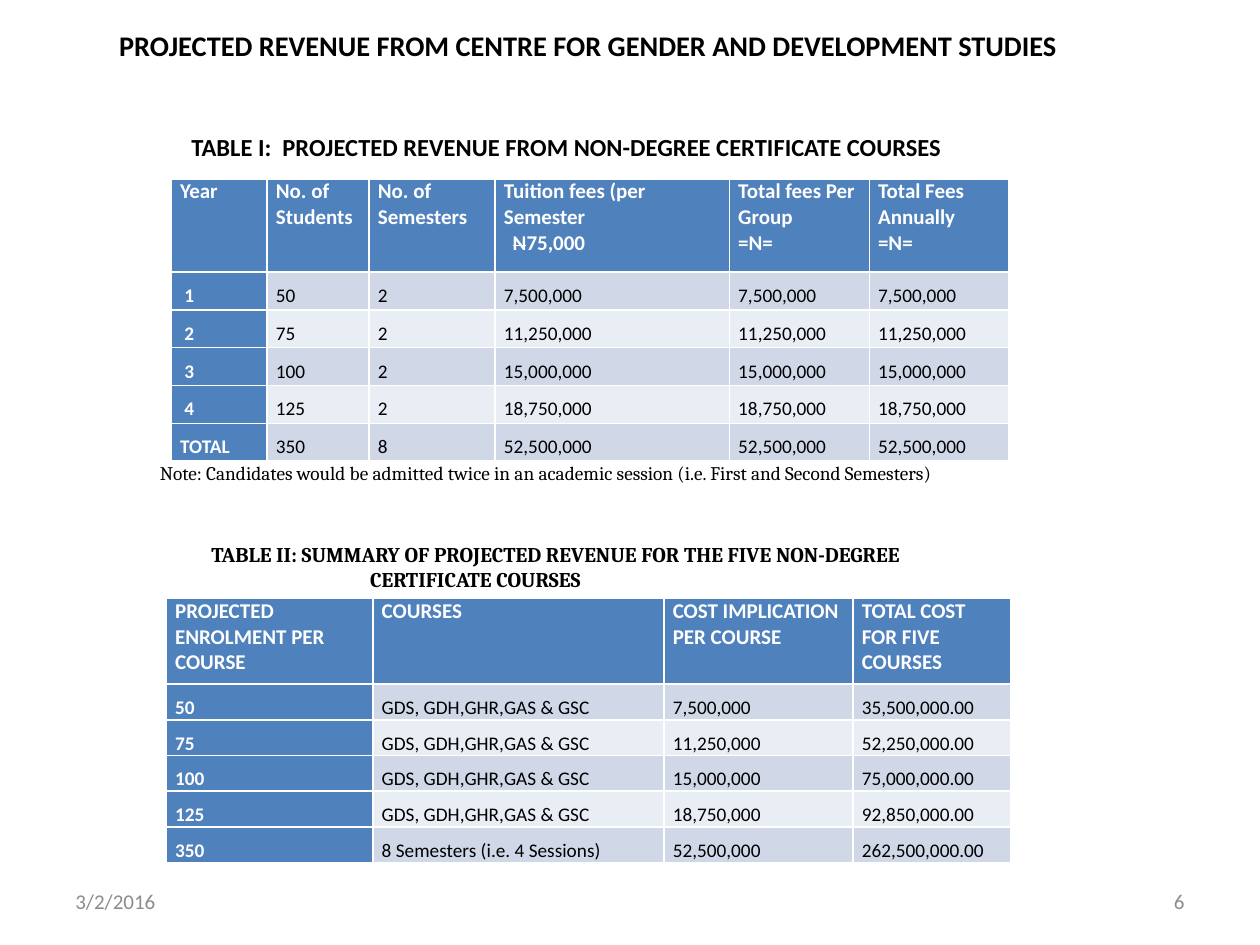
from pptx import Presentation
from pptx.dml.color import RGBColor
from pptx.enum.text import MSO_ANCHOR, PP_ALIGN
from pptx.util import Inches, Pt


def color(hex_value):
    return RGBColor.from_string(hex_value)


def add_run(paragraph, text, size, ink="000000", bold=False, font="Calibri"):
    run = paragraph.add_run()
    run.text = text
    run.font.size = Pt(size)
    run.font.name = font
    run.font.bold = bold
    run.font.color.rgb = color(ink)
    return run


prs = Presentation()
prs.slide_width, prs.slide_height = Inches(10), Inches(7.5)
slide = prs.slides.add_slide(prs.slide_layouts[5])

title = slide.shapes.title
title.left, title.top = Inches(0.75), Inches(0.17)
title.width, title.height = Inches(7.83), Inches(0.83)
title.text_frame.vertical_anchor = MSO_ANCHOR.TOP
heading = title.text_frame.paragraphs[0]
heading.alignment = PP_ALIGN.CENTER
add_run(heading, "PROJECTED REVENUE FROM CENTRE FOR GENDER AND DEVELOPMENT STUDIES", 16.2, bold=True)

yearly = [
    (" 1", "50", "2", "7,500,000"),
    (" 2", "75", "2", "11,250,000"),
    (" 3", "100", "2", "15,000,000"),
    (" 4", "125", "2", "18,750,000"),
    ("TOTAL", "350", "8", "52,500,000"),
]
courses = "GDS, GDH,GHR,GAS & GSC"
certificate_rows = [
    ("Year", "No. of Students", "No. of Semesters", "Tuition fees (per Semester\n₦75,000",
     "Total fees Per Group\n=N=", "Total Fees Annually\n=N="),
] + [(*row, row[3], row[3]) for row in yearly]
summary_rows = [
    ("PROJECTED ENROLMENT PER COURSE", "COURSES", "COST IMPLICATION PER COURSE", "TOTAL COST FOR FIVE COURSES"),
    ("50", courses, "7,500,000", "35,500,000.00"),
    ("75", courses, "11,250,000", "52,250,000.00"),
    ("100", courses, "15,000,000", "75,000,000.00"),
    ("125", courses, "18,750,000", "92,850,000.00"),
    ("350", "8 Semesters (i.e. 4 Sessions)", "52,500,000", "262,500,000.00"),
]
tables = [
    (1.36, 1.42, [0.76, 0.81, 1, 1.86, 1.11, 1.11], 0.74, 0.3, certificate_rows),
    (1.32, 4.75, [1.64, 2.31, 1.5, 1.25], 0.68, 0.28, summary_rows),
]
for left, top, widths, header_height, row_height, rows in tables:
    heights = [header_height] + [row_height] * (len(rows) - 1)
    table = slide.shapes.add_table(
        len(rows), len(widths), Inches(left), Inches(top), Inches(sum(widths)), Inches(sum(heights))
    ).table
    table.first_col = True
    for column, width in zip(table.columns, widths):
        column.width = Inches(width)
    for r, values in enumerate(rows):
        table.rows[r].height = Inches(heights[r])
        for c, value in enumerate(values):
            cell = table.cell(r, c)
            cell.margin_left = cell.margin_right = Inches(0.07)
            cell.margin_top = cell.margin_bottom = 0
            is_head = r == 0 or c == 0
            cell.fill.solid()
            cell.fill.fore_color.rgb = color("4F81BD" if is_head else "D0D8E8" if r % 2 else "E9EDF4")
            ink, size = "FFFFFF" if is_head else "000000", 11 if r else 12
            for i, line in enumerate(value.split("\n")):
                paragraph = cell.text_frame.paragraphs[0] if i == 0 else cell.text_frame.add_paragraph()
                if r:
                    paragraph.line_spacing = 1.5
                if line.startswith("₦"):
                    paragraph._p.get_or_add_pPr().set("marL", str(Inches(0.07)))
                    naira = add_run(paragraph, "N", size, ink, is_head)
                    naira.font._element.set("strike", "sngStrike")
                    line = line[1:]
                add_run(paragraph, line, size, ink, is_head)

middle, upper = MSO_ANCHOR.MIDDLE, MSO_ANCHOR.TOP
captions = [
    (1.17, 3.5, 8.83, 0.5, middle, PP_ALIGN.LEFT, 11, "000000", False, "Cambria",
     [(0, "Note: Candidates would be admitted twice in an academic session (i.e. First and Second Semesters)")]),
    (1.58, 4.25, 6.63, 0.5, middle, PP_ALIGN.LEFT, 12, "000000", True, "Cambria",
     [(0, "TABLE II: SUMMARY OF PROJECTED REVENUE FOR THE FIVE NON-DEGREE"), (1.26, "CERTIFICATE COURSES")]),
    (1.42, 1, 7.08, 0.34, upper, PP_ALIGN.LEFT, 14, "000000", True, "Calibri",
     [(0, "TABLE I:  PROJECTED REVENUE FROM NON-DEGREE CERTIFICATE COURSES")]),
    (0.5, 6.95, 2.33, 0.4, middle, PP_ALIGN.LEFT, 12, "8C8C8C", False, "Calibri", [(0, "3/2/2016")]),
    (7.17, 6.95, 2.33, 0.4, middle, PP_ALIGN.RIGHT, 12, "8C8C8C", False, "Calibri", [(0, "6")]),
]
for left, top, width, height, anchor, alignment, size, ink, bold, font, lines in captions:
    frame = slide.shapes.add_textbox(Inches(left), Inches(top), Inches(width), Inches(height)).text_frame
    frame.word_wrap = True
    frame.vertical_anchor = anchor
    for i, (indent, line) in enumerate(lines):
        paragraph = frame.paragraphs[0] if i == 0 else frame.add_paragraph()
        paragraph.alignment = alignment
        if indent:
            paragraph._p.get_or_add_pPr().set("marL", str(Inches(indent)))
        add_run(paragraph, line, size, ink, bold, font)

prs.save("out.pptx")
